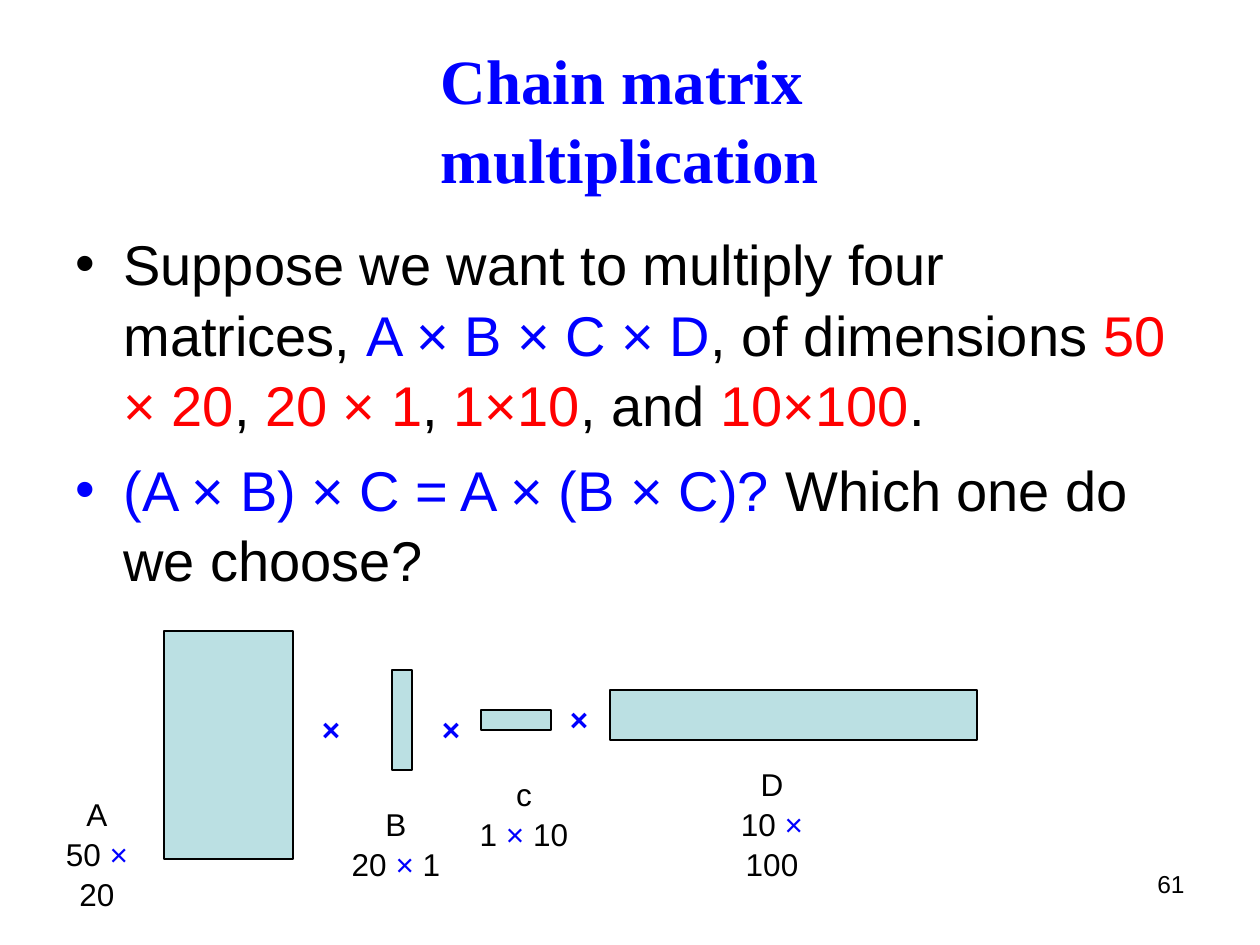
from dataclasses import dataclass

from lxml import etree
from pptx import Presentation
from pptx import util as u
from pptx.dml import color
from pptx.enum import shapes, text
from pptx.oxml import ns

PX = 914400 / 126


@dataclass(frozen=True)
class Theme:
    """Colours, fonts and type sizes of the slide."""
    ink: str = "000000"
    blue: str = "0000FF"
    red: str = "FF0000"
    matrix: str = "BBE0E3"
    sans: str = "Arial"
    serif: str = "Times New Roman"
    title: int = 36
    body: int = 32
    label: int = 18
    number: int = 14
    leading: float = 1.05


THEME = Theme()


def px(*lengths):
    """Turn pixel lengths into EMU."""
    return [u.Emu(round(length * PX)) for length in lengths]


def add_text(slide, box, paragraphs, size, align, anchor=text.MSO_ANCHOR.TOP,
             wrap=True, bold=False, font=THEME.sans):
    """Place paragraphs of (wording, colour) runs in a box and return its paragraphs."""
    frame = slide.shapes.add_textbox(*px(*box)).text_frame
    frame.word_wrap = wrap
    frame.vertical_anchor = anchor
    for index, runs in enumerate(paragraphs):
        line = frame.paragraphs[0] if index == 0 else frame.add_paragraph()
        line.alignment = align
        line.line_spacing = THEME.leading
        for wording, colour in runs:
            for part, piece in enumerate(wording.split("\n")):
                if part:
                    line.add_line_break()
                run = line.add_run()
                run.text = piece
                run.font.name = font
                run.font.size = u.Pt(size)
                run.font.bold = bold
                run.font.color.rgb = color.RGBColor.from_string(colour)
    return frame.paragraphs


def add_bullet(paragraph, colour):
    """Give a paragraph a hanging bullet of one colour."""
    props = paragraph._p.get_or_add_pPr()
    indent = px(48)[0]
    props.set("marL", str(indent))
    props.set("indent", str(-indent))
    bullet_colour = etree.SubElement(props, ns.qn("a:buClr"))
    etree.SubElement(bullet_colour, ns.qn("a:srgbClr"), val=colour)
    etree.SubElement(props, ns.qn("a:buFont"), typeface=THEME.sans)
    etree.SubElement(props, ns.qn("a:buChar"), char="•")


def add_title(slide, box):
    """Place the slide title."""
    add_text(slide, box, [[("Chain matrix \nmultiplication", THEME.blue)]], THEME.title,
             text.PP_ALIGN.CENTER, text.MSO_ANCHOR.MIDDLE, bold=True, font=THEME.serif)


def add_question(slide, box):
    """Place the two bullets that pose the problem."""
    ink, blue, red = THEME.ink, THEME.blue, THEME.red
    points = [
        [("Suppose we want to multiply four matrices, ", ink), ("A × B × C × D", blue),
         (", of dimensions ", ink), ("50 × 20", red), (", ", ink), ("20 × 1", red),
         (", ", ink), ("1×10", red), (", and ", ink), ("10×100", red), (".", ink)],
        [("(A × B) × C = A × (B × C)? ", blue), ("Which one do we choose?", ink)],
    ]
    bullets = add_text(slide, box, points, THEME.body, text.PP_ALIGN.LEFT)
    for bullet, runs in zip(bullets, points):
        bullet.space_before = u.Pt(8)
        add_bullet(bullet, runs[0][1])


def add_matrix(slide, box):
    """Draw one matrix as a rectangle."""
    matrix = slide.shapes.add_shape(shapes.MSO_SHAPE.RECTANGLE, *px(*box))
    matrix.shadow.inherit = False
    matrix.fill.solid()
    matrix.fill.fore_color.rgb = color.RGBColor.from_string(THEME.matrix)
    matrix.line.color.rgb = color.RGBColor.from_string(THEME.ink)
    matrix.line.width = u.Pt(0.75)


def add_centred(slide, centre, size, paragraphs, bold=False):
    """Place unwrapped text around a centre point."""
    (x, y), (width, height) = centre, size
    add_text(slide, (x - width / 2, y - height / 2, width, height), paragraphs, THEME.label,
             text.PP_ALIGN.CENTER, text.MSO_ANCHOR.MIDDLE, wrap=False, bold=bold)


def add_product(slide, box):
    """Draw the chain of matrices with their names, dimensions and product signs."""
    left, top = box[:2]
    ink, blue = THEME.ink, THEME.blue
    matrices = [
        ("A", "50", "20", (130, 0, 129, 228), (63, 222)),
        ("B", "20", "1", (358, 39, 20, 100), (362, 212)),
        ("c", "1", "10", (447, 79, 70, 20), (490, 182)),
        ("D", "10", "100", (576, 59, 367, 50), (738, 192)),
    ]
    for name, rows, columns, (x, y, width, height), label in matrices:
        add_matrix(slide, (left + x, top + y, width, height))
        dimensions = [(f"{rows} ", ink), ("×", blue), (f" {columns}", ink)]
        add_centred(slide, (left + label[0], top + label[1]), (126, 126),
                    [[(name, ink)], dimensions])
    for x, y in [(297, 97), (417, 97), (545, 87)]:
        add_centred(slide, (left + x, top + y), (44, 50), [[("×", blue)]], bold=True)


def add_page_number(slide, box):
    """Place the page number."""
    add_text(slide, box, [[("61", THEME.ink)]], THEME.number, text.PP_ALIGN.RIGHT)


def main():
    """Build the slide and save it."""
    deck = Presentation()
    deck.slide_width, deck.slide_height = px(1260, 945)
    slide = deck.slides.add_slide(deck.slide_layouts[6])
    add_page_number(slide, (903, 861, 294, 66))
    add_title(slide, (63, 38, 1134, 158))
    add_question(slide, (63, 220, 1134, 624))
    add_product(slide, (34, 631, 943, 285))
    deck.save("out.pptx")


if __name__ == "__main__":
    main()
